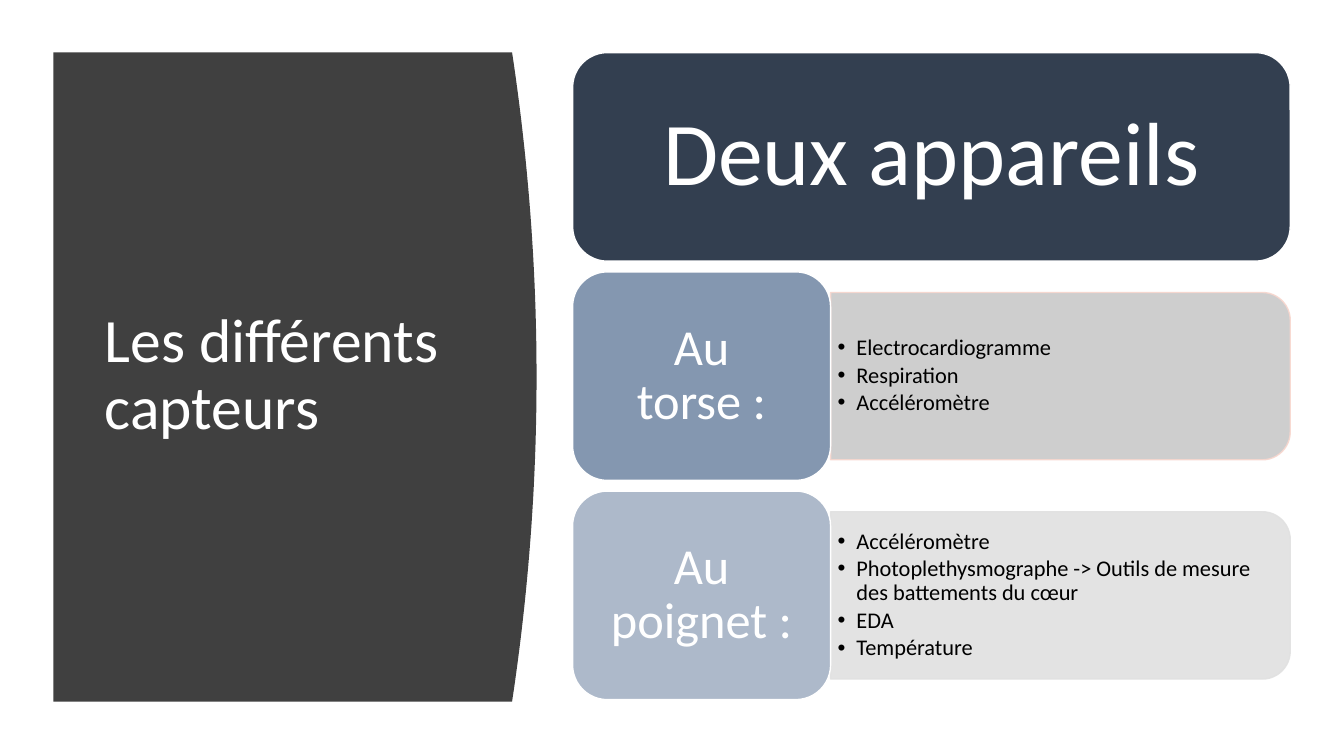
from lxml import etree
from pptx import Presentation
from pptx.dml.color import RGBColor
from pptx.enum.shapes import MSO_SHAPE
from pptx.enum.text import MSO_ANCHOR, PP_ALIGN
from pptx.oxml.ns import qn
from pptx.util import Pt

ROUND_RECT = MSO_SHAPE.ROUNDED_RECTANGLE
ROUND_TOP = MSO_SHAPE.ROUND_2_SAME_RECTANGLE
MIDDLE = MSO_ANCHOR.MIDDLE
LEFT, CENTER = PP_ALIGN.LEFT, PP_ALIGN.CENTER

WHITE = RGBColor(0xFF, 0xFF, 0xFF)
BLACK = RGBColor(0x00, 0x00, 0x00)
CHARCOAL = RGBColor(0x40, 0x40, 0x40)
NAVY = RGBColor(0x33, 0x3F, 0x50)
STEEL = RGBColor(0x84, 0x97, 0xB0)
MIST = RGBColor(0xAD, 0xB9, 0xCA)
GREY = RGBColor(0xC9, 0xC9, 0xC9)
PALE_GREY = RGBColor(0xE1, 0xE1, 0xE1)
PEACH = RGBColor(0xF8, 0xD7, 0xCE)


class Deck:
    font = "Calibri"
    line_spacing = 0.9

    def __init__(self, width, height):
        self.prs = Presentation()
        self.prs.slide_width, self.prs.slide_height = Pt(width), Pt(height)
        self.s = self.prs.slides.add_slide(self.prs.slide_layouts[6])

    def paint(self, sp, fill, line=None, opacity=100):
        sp.shadow.inherit = False
        sp.fill.solid()
        sp.fill.fore_color.rgb = fill
        if line is None:
            sp.line.fill.background()
        else:
            sp.line.color.rgb = line
            sp.line.width = Pt(1)
        if opacity < 100:
            for clr in sp._element.spPr.iter(qn("a:srgbClr")):
                etree.SubElement(clr, qn("a:alpha"), val=str(opacity * 1000))

    def set_text(self, sp, lines, size, color, align, inset_x, inset_y):
        tf = sp.text_frame
        tf.text = "\n".join(lines)
        tf.word_wrap = True
        tf.vertical_anchor = MIDDLE
        tf.margin_left = tf.margin_right = Pt(inset_x)
        tf.margin_top = tf.margin_bottom = Pt(inset_y)
        for p in tf.paragraphs:
            p.alignment = align
            p.line_spacing = self.line_spacing
            for r in p.runs:
                r.font.name = self.font
                r.font.size = Pt(size)
                r.font.color.rgb = color
        return tf

    def text(self, x, y, w, h, lines, size, color, inset_x, inset_y):
        sp = self.s.shapes.add_textbox(Pt(x), Pt(y), Pt(w), Pt(h))
        return self.set_text(sp, lines, size, color, LEFT, inset_x, inset_y)

    def bullets(self, x, y, w, h, items, size):
        tf = self.text(x, y, w, h, items, size, BLACK, 5, 2.4)
        for p in tf.paragraphs:
            p.space_after = Pt(0.15 * size)
            pPr = p._p.get_or_add_pPr()
            pPr.set("marL", str(Pt(13.5)))
            pPr.set("indent", str(-Pt(13.5)))
            etree.SubElement(pPr, qn("a:buFont"), typeface="Arial")
            etree.SubElement(pPr, qn("a:buChar"), char="•")

    def card(self, x, y, w, h, label, size, fill, inset):
        sp = self.s.shapes.add_shape(ROUND_RECT, Pt(x), Pt(y), Pt(w), Pt(h))
        self.paint(sp, fill, WHITE)
        self.set_text(sp, [label], size, WHITE, CENTER, inset, inset / 2)

    def side_panel(self, x, y, w, h, fill, line):
        # The rounded top edge is turned to face right
        sp = self.s.shapes.add_shape(ROUND_TOP, Pt(x + (w - h) / 2),
                                     Pt(y + (h - w) / 2), Pt(h), Pt(w))
        sp.rotation = 90
        self.paint(sp, fill, line, opacity=90)

    def bulged_panel(self, x, y, w, h, bulge, fill, steps=48):
        fb = self.s.shapes.build_freeform(Pt(x), Pt(y))
        edge = []
        for i in range(steps + 1):
            t = i / steps
            edge.append((Pt(x + w + bulge * 4 * t * (1 - t)), Pt(y + h * t)))
        fb.add_line_segments(edge + [(Pt(x), Pt(y + h))], close=True)
        self.paint(fb.convert_to_shape(), fill)


def main():
    deck = Deck(960, 540)

    # Title panel
    deck.bulged_panel(38.2, 37.4, 327.6, 463.8, 17.5, CHARCOAL)
    deck.text(67.7, 79.9, 269.3, 377.3, ["Les différents capteurs"],
              44, WHITE, 7.2, 3.6)

    # Heading card
    left, top, pitch, card_h = 409, 37.6, 156.6, 149
    deck.card(left, top, 512.6, card_h, "Deux appareils", 64, NAVY, 26)

    # One row per device
    card_w, panel_w, panel_h = 184.3, 328.3, 119.5
    devices = [
        ("Au torse :", STEEL, GREY, PEACH,
         ["Electrocardiogramme", "Respiration", "Accéléromètre"]),
        ("Au poignet :", MIST, PALE_GREY, PALE_GREY,
         ["Accéléromètre",
          "Photoplethysmographe -> Outils de mesure des battements du cœur",
          "EDA", "Température"]),
    ]
    for row, (label, fill, panel, border, sensors) in enumerate(devices, 1):
        y = top + row * pitch
        panel_x, panel_y = left + card_w, y + (card_h - panel_h) / 2
        deck.side_panel(panel_x, panel_y, panel_w, panel_h, panel, border)
        deck.bullets(panel_x, panel_y + 5.8, 322.5, panel_h - 11.6, sensors, 16)
        deck.card(left, y, card_w, card_h, label, 36, fill, 18)

    deck.prs.save("out.pptx")


if __name__ == "__main__":
    main()
